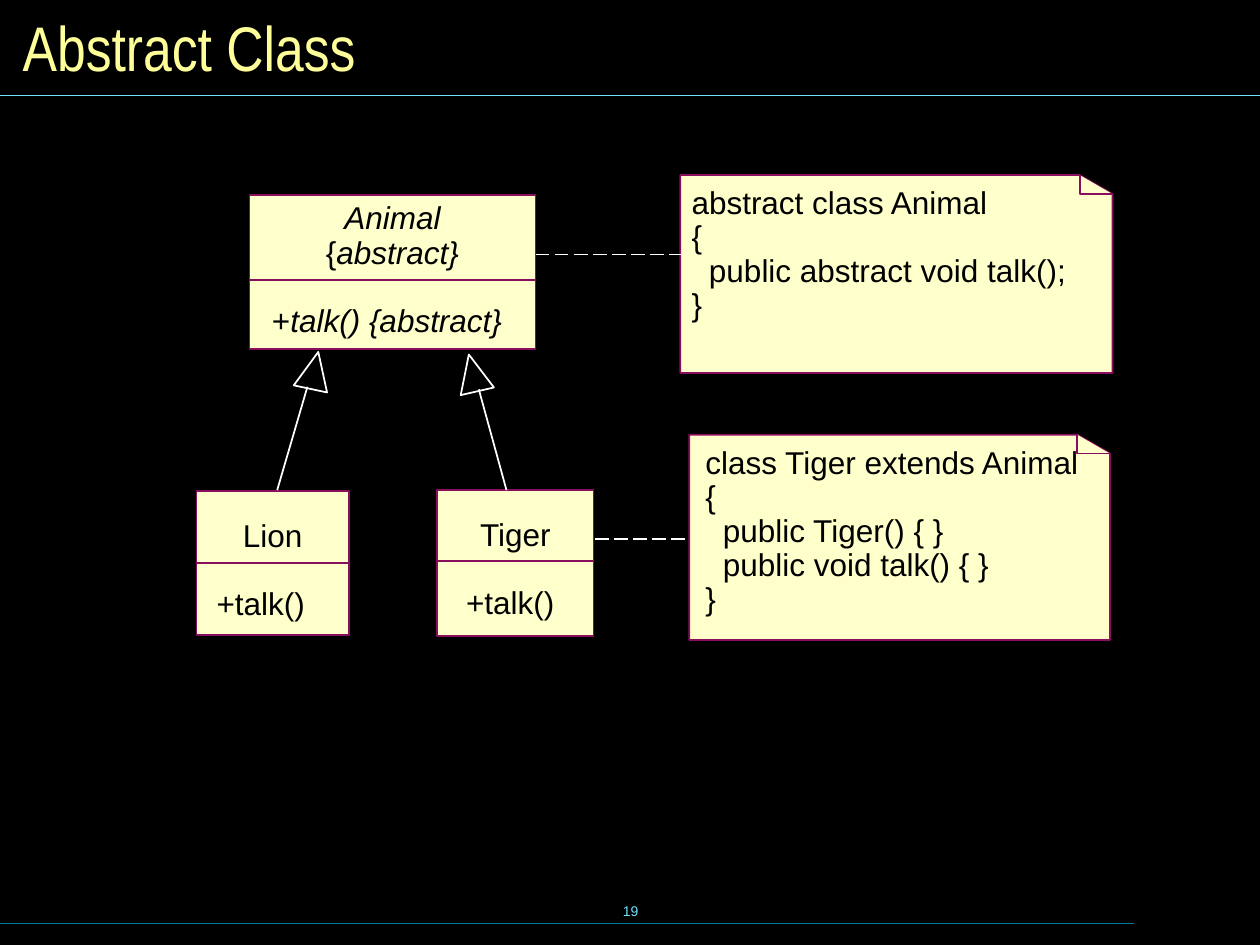
from lxml import etree
from pptx import Presentation
from pptx.dml.color import RGBColor
from pptx.enum.dml import MSO_LINE
from pptx.enum.shapes import MSO_CONNECTOR, MSO_SHAPE
from pptx.enum.text import MSO_ANCHOR, MSO_AUTO_SIZE, PP_ALIGN
from pptx.oxml.ns import qn
from pptx.util import Inches, Pt

STRAIGHT = MSO_CONNECTOR.STRAIGHT
RECTANGLE = MSO_SHAPE.RECTANGLE
TRIANGLE = MSO_SHAPE.ISOSCELES_TRIANGLE
LONG_DASH = MSO_LINE.LONG_DASH
MIDDLE, TOP = MSO_ANCHOR.MIDDLE, MSO_ANCHOR.TOP
LEFT, CENTER = PP_ALIGN.LEFT, PP_ALIGN.CENTER
NO_RESIZE = MSO_AUTO_SIZE.NONE

COLORS = {
    "background": "000000",
    "title": "FFFF99",
    "rule": "73E1FF",
    "footer_rule": "007E9F",
    "paper": "FFFFCC",
    "border": "8A0E5E",
    "text": "000000",
    "link": "FFFFFF",
}


def color(name):
    """Return the named colour."""
    return RGBColor.from_string(COLORS[name])


def write(box, lines, size=18, font="Arial", ink="text", align=LEFT,
          anchor=TOP, spacing=0.9):
    """Fill a shape with lines, each a list of (text, italic) spans."""
    frame = box.text_frame
    frame.word_wrap = True
    frame.auto_size = NO_RESIZE
    frame.vertical_anchor = anchor
    for index, spans in enumerate(lines):
        para = frame.add_paragraph() if index else frame.paragraphs[0]
        para.alignment = align
        para.line_spacing = spacing
        for text, italic in spans:
            span = para.add_run()
            span.text = text
            span.font.size = Pt(size)
            span.font.name = font
            span.font.italic = italic
            span.font.color.rgb = color(ink)


def add_text(page, left, top, width, height, lines, **form):
    """Add a text box with formatted lines."""
    box = page.shapes.add_textbox(
        Inches(left), Inches(top), Inches(width), Inches(height))
    write(box, lines, **form)


def add_line(page, start, end, ink, width=1, dash=None):
    """Draw a straight line between two points."""
    line = page.shapes.add_connector(
        STRAIGHT, *map(Inches, start), *map(Inches, end))
    line.line.color.rgb = color(ink)
    line.line.width = Pt(width)
    if dash:
        line.line.dash_style = dash
    etree.SubElement(line._element.spPr, qn("a:effectLst"))


def paint(shape, border, fill=None):
    """Give a shape its outline and optional fill."""
    shape.shadow.inherit = False
    if fill:
        shape.fill.solid()
        shape.fill.fore_color.rgb = color(fill)
    else:
        shape.fill.background()
    shape.line.color.rgb = color(border)
    shape.line.width = Pt(1)


def add_outline(page, points, close):
    """Draw a paper-coloured freeform through the points."""
    corners = [(Inches(x), Inches(y)) for x, y in points]
    builder = page.shapes.build_freeform(*corners[0], scale=1.0)
    builder.add_line_segments(corners[1:], close=close)
    paint(builder.convert_to_shape(), "border", "paper")


def add_note(page, left, top, width, height, text_left, code):
    """Place a code note with a folded corner in the given box."""
    right, bottom = left + width, top + height
    fold_x, fold_y = right - 0.26, top + 0.15
    add_outline(page, [(right, bottom), (left, bottom), (left, top),
                       (fold_x, top), (right, fold_y)], True)
    add_outline(page, [(right, fold_y), (fold_x, fold_y), (fold_x, top)], False)
    add_text(page, text_left, top + 0.05, 3.3, height - 0.1,
             [[(line, False)] for line in code])


def add_class(page, left, top, width, height, divider, name, name_top,
              member, member_left, member_top):
    """Place a class box with its name, divider and member."""
    box = page.shapes.add_shape(
        RECTANGLE, Inches(left), Inches(top), Inches(width), Inches(height))
    paint(box, "border", "paper")
    add_line(page, (left, divider), (left + width, divider), "border")
    add_text(page, left, name_top, width, 0.36 * len(name), name, align=CENTER)
    add_text(page, member_left, member_top, left + width - member_left, 0.36,
             [member])


def add_inheritance(page, start, end, head_left, head_top, angle):
    """Draw an inheritance line with a hollow triangle head."""
    head = page.shapes.add_shape(
        TRIANGLE, Inches(head_left), Inches(head_top), Inches(0.27), Inches(0.3))
    head.rotation = angle
    paint(head, "link")
    add_line(page, start, end, "link")


def add_frame(page):
    """Place the background, title, rules and page number."""
    page.background.fill.solid()
    page.background.fill.fore_color.rgb = color("background")
    title = page.shapes.title
    title.left, title.top = Inches(0.08), Inches(0.08)
    title.width, title.height = Inches(9.84), Inches(0.58)
    write(title, [[("Abstract Class", False)]], size=36, font="Arial Narrow",
          ink="title", anchor=MIDDLE, spacing=1.0)
    add_line(page, (0, 0.76), (10, 0.76), "rule", 0.75)
    add_line(page, (0, 7.33), (9, 7.33), "footer_rule", 0.75)
    add_text(page, 3.42, 6.98, 3.17, 0.5, [[("19", False)]], size=8,
             ink="rule", align=CENTER, anchor=MIDDLE, spacing=1.0)


def add_diagram(page):
    """Place the classes, their code notes and the links."""
    add_note(page, 5.4, 1.39, 3.43, 1.57, 5.39, [
        "abstract class Animal", "{", "  public abstract void talk();", "}"])
    add_note(page, 5.47, 3.45, 3.34, 1.63, 5.5, [
        "class Tiger extends Animal", "{", "  public Tiger() { }",
        "  public void talk() { }", "}"])
    add_class(page, 1.98, 1.55, 2.27, 1.22, 2.22,
              [[("Animal", True)], [("{", False), ("abstract}", True)]], 1.56,
              [("+", False), ("talk() {abstract}", True)], 2.06, 2.37)
    add_class(page, 1.56, 3.9, 1.21, 1.14, 4.47, [[("Lion", False)]], 4.08,
              [("+talk()", False)], 1.62, 4.62)
    add_class(page, 3.47, 3.89, 1.24, 1.16, 4.45, [[("Tiger", False)]], 4.07,
              [("+talk()", False)], 3.6, 4.61)
    add_inheritance(page, (2.2, 3.89), (2.44, 3.07), 2.36, 2.79, 12)
    add_inheritance(page, (4.02, 3.89), (3.8, 3.09), 3.62, 2.81, 347)
    add_line(page, (4.25, 2.02), (5.44, 2.02), "link", dash=LONG_DASH)
    add_line(page, (4.72, 4.28), (5.47, 4.28), "link", dash=LONG_DASH)


def main():
    """Build and save the deck."""
    deck = Presentation()
    deck.slide_width, deck.slide_height = Inches(10), Inches(7.5)
    page = deck.slides.add_slide(deck.slide_layouts[5])
    add_frame(page)
    add_diagram(page)
    deck.save("out.pptx")


if __name__ == "__main__":
    main()
